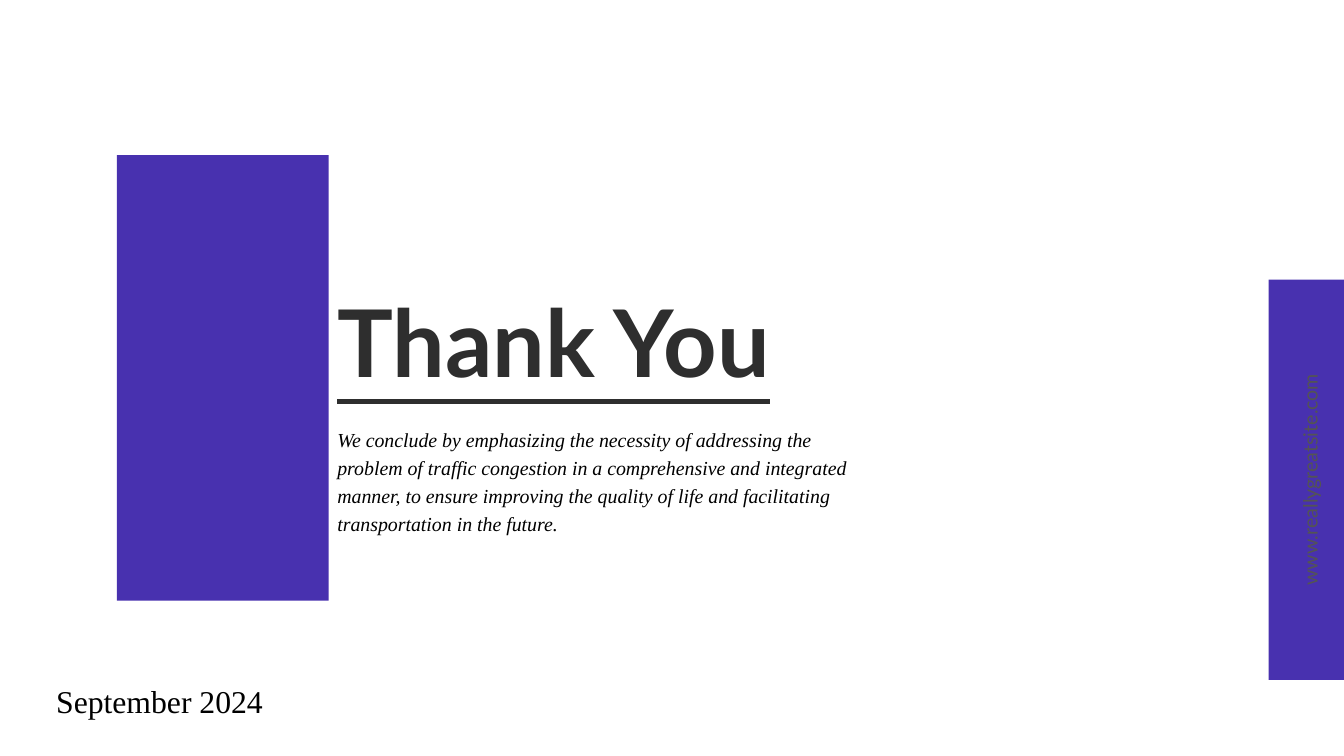
from pptx import Presentation
from pptx.dml.color import RGBColor
from pptx.enum.shapes import MSO_SHAPE as Shape
from pptx.enum.text import PP_ALIGN as Align
from pptx.util import Inches, Pt

# Grid: 20 columns by 11.25 rows, one inch each
COLUMNS, ROWS = 20, 11.25
VIOLET, CHARCOAL, GREY, BLACK = "4831AF", "2E2E2E", "545454", "000000"
SERIF, SANS = "Times New Roman", "Lato"


def colour(hex_value):
    return RGBColor.from_string(hex_value)


def place(left, top, width, height):
    return [Inches(length) for length in (left, top, width, height)]


def add_block(slide, box):
    block = slide.shapes.add_shape(Shape.RECTANGLE, *place(*box))
    block.shadow.inherit = False
    block.fill.solid()
    block.fill.fore_color.rgb = colour(VIOLET)
    block.line.fill.background()


def add_text(slide, box, words, *, size, font=SERIF, ink=BLACK, leading=None,
             align=Align.LEFT, bold=False, italic=False, underline=False, turn=0):
    holder = slide.shapes.add_textbox(*place(*box))
    holder.rotation = turn
    frame = holder.text_frame
    frame.word_wrap = True
    frame.margin_left = frame.margin_top = frame.margin_right = frame.margin_bottom = 0
    paragraph = frame.paragraphs[0]
    paragraph.alignment = align
    if leading:
        paragraph.line_spacing = Pt(leading)
    run = paragraph.add_run()
    run.text = words
    run.font.name, run.font.size = font, Pt(size)
    run.font.bold, run.font.italic, run.font.underline = bold, italic, underline
    run.font.color.rgb = colour(ink)


def closing_message(slide, left, top, width, height):
    """Violet block with the thanks and the conclusion beside it."""
    block_width = 3.15
    add_block(slide, (left, top, block_width, height))
    text_left = left + block_width + 0.13
    text_width = width - (text_left - left)
    add_text(slide, (text_left, top + 1.64, text_width, 1.87), "Thank You",
             size=100, font=SANS, ink=CHARCOAL, leading=140, bold=True, underline=True)
    add_text(slide, (text_left, top + 4, text_width - 0.27, 1.62),
             "We conclude by emphasizing the necessity of addressing the problem of "
             "traffic congestion in a comprehensive and integrated manner, to ensure "
             "improving the quality of life and facilitating transportation in the future.",
             size=21.3, leading=29.9, italic=True)


def site_tab(slide, left, top, width, height):
    """Tab on the right edge with the web address reading upwards."""
    add_block(slide, (left, top, width, height))
    length, depth = 4, 0.34
    middle_x, middle_y = left + width * 0.54, top + height / 2
    add_text(slide, (middle_x - length / 2, middle_y - depth / 2, length, depth),
             "www.reallygreatsite.com", size=21, font=SANS, ink=GREY,
             align=Align.CENTER, turn=270)


def date_line(slide, *box):
    add_text(slide, box, "September 2024", size=34, leading=47.6, align=Align.CENTER)


def main():
    deck = Presentation()
    deck.slide_width, deck.slide_height = Inches(COLUMNS), Inches(ROWS)
    slide = deck.slides.add_slide(deck.slide_layouts[6])
    slide.background.fill.solid()
    slide.background.fill.fore_color.rgb = colour("FFFFFF")

    closing_message(slide, 1.74, 2.31, 11.65, 6.63)
    site_tab(slide, COLUMNS - 1.12, 4.16, 1.12, 5.96)
    date_line(slide, 0.75, 10.05, 3.25, 0.63)
    deck.save("out.pptx")


if __name__ == "__main__":
    main()
